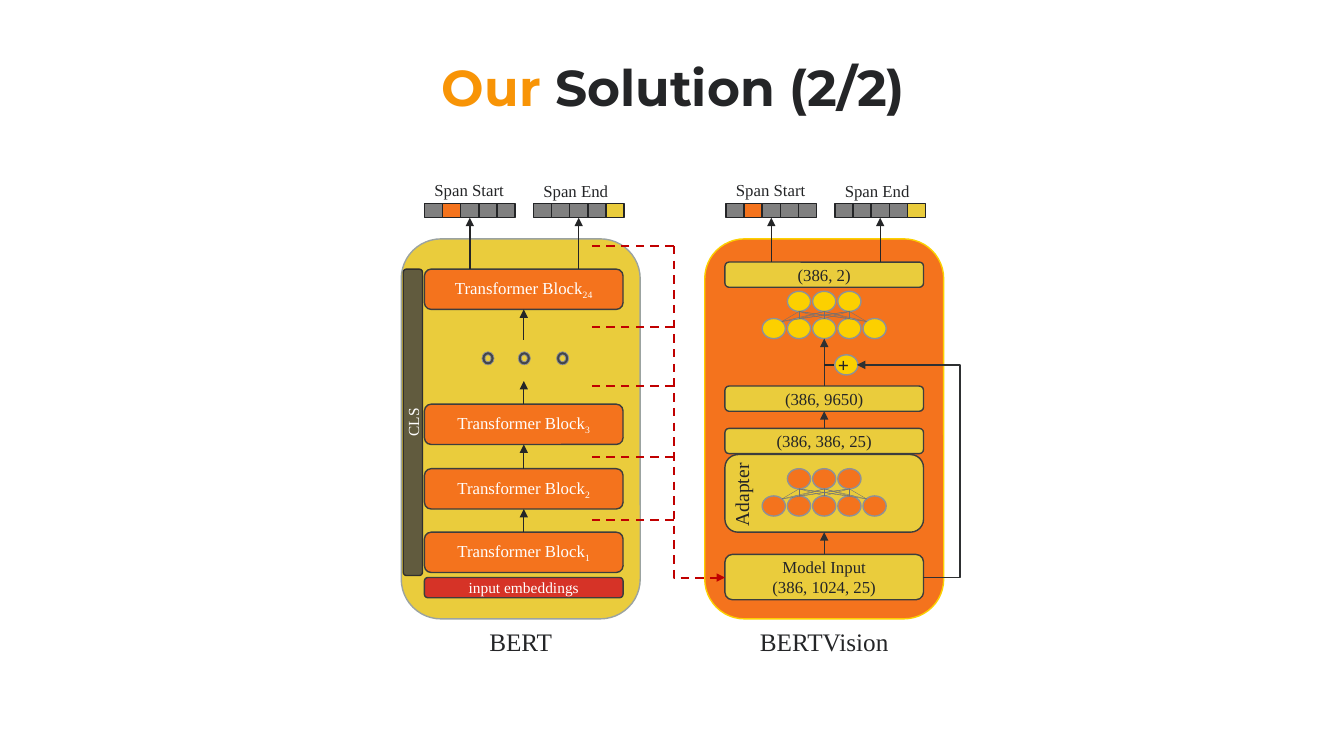
from lxml import etree
from pptx import Presentation
from pptx.dml.color import RGBColor
from pptx.enum.dml import MSO_LINE
from pptx.enum.shapes import MSO_CONNECTOR, MSO_SHAPE
from pptx.enum.text import MSO_ANCHOR, PP_ALIGN
from pptx.oxml.ns import qn
from pptx.util import Inches, Pt

ORANGE = RGBColor(0xF4, 0x73, 0x1D)
TITLE_ORANGE = RGBColor(0xF8, 0x94, 0x06)
MUSTARD = RGBColor(0xEA, 0xCC, 0x3C)
YELLOW = RGBColor(0xFC, 0xD0, 0x00)
RED = RGBColor(0xD1, 0x0D, 0x22)
DARK_RED = RGBColor(0xC0, 0x00, 0x00)
WHITE = RGBColor(0xFF, 0xFF, 0xFF)
INK = RGBColor(0x24, 0x25, 0x27)
ARROW_INK = RGBColor(0x2E, 0x30, 0x32)
OUTLINE = RGBColor(0x3D, 0x3D, 0x3D)
CLS_FILL = RGBColor(0x3F, 0x3F, 0x3F)
CLS_LINE = RGBColor(0x2F, 0x2F, 0x2F)
DOT_FILL = RGBColor(0x43, 0x45, 0x49)
CELL_GREY = RGBColor(0x80, 0x80, 0x80)
NODE_LINE = RGBColor(0x8E, 0x91, 0x97)
LINK_GREY = RGBColor(0x6D, 0x70, 0x76)
PANEL_LINE = RGBColor(0x9B, 0xA3, 0xA1)

SERIF = "Times New Roman"
TOP, BOTTOM = 0, 2
COLUMN_WIDTH = 1.97
CELL_WIDTH, CELL_HEIGHT = 0.18, 0.14
NODE_WIDTH, NODE_HEIGHT, NODE_PITCH = 0.23, 0.2, 0.25


def set_attributes(target, values):
    for name, value in values.items():
        setattr(target, name, value)


def add_run(paragraph, text, size, color, font=SERIF, bold=False):
    run = paragraph.add_run()
    run.text = text
    set_attributes(run.font, {"name": font, "size": Pt(size), "bold": bold})
    run.font.color.rgb = color
    return run


def write(frame, text, size, color, subscript="", align=PP_ALIGN.CENTER, bold=False):
    paragraph = frame.paragraphs[0]
    paragraph.alignment = align
    for index, part in enumerate(text.split("\n")):
        if index:
            paragraph.add_line_break()
        add_run(paragraph, part, size, color, bold=bold)
    if subscript:
        run = add_run(paragraph, subscript, size, color)
        run.font._element.set("baseline", "-25000")


def add_box(slide, kind, box, fill, outline, width=1, alpha=None):
    shape = slide.shapes.add_shape(kind, *map(Inches, box))
    shape.shadow.inherit = False
    shape.fill.solid()
    shape.fill.fore_color.rgb = fill
    shape.line.color.rgb = outline
    shape.line.width = Pt(width)
    if alpha:
        color = shape._element.spPr.find(qn("a:solidFill"))[0]
        etree.SubElement(color, qn("a:alpha")).set("val", str(alpha * 1000))
    return shape


def add_layer(slide, box, fill, text="", color=INK, size=12, subscript="",
              outline=OUTLINE, alpha=None):
    shape = add_box(slide, MSO_SHAPE.ROUNDED_RECTANGLE, box, fill, outline, alpha=alpha)
    frame = shape.text_frame
    set_attributes(frame, {"word_wrap": True, "vertical_anchor": MSO_ANCHOR.MIDDLE,
                           "margin_left": 0, "margin_right": 0,
                           "margin_top": 0, "margin_bottom": 0})
    if text:
        write(frame, text, size, color, subscript)
    return shape


def add_label(slide, box, text, size, align=PP_ALIGN.CENTER, rotation=0):
    label = slide.shapes.add_textbox(*map(Inches, box))
    label.rotation = rotation
    label.text_frame.word_wrap = True
    write(label.text_frame, text, size, INK, align=align)


def add_line(slide, begin, end, color=INK, width=1, arrow=False, dashed=False,
             kind=MSO_CONNECTOR.STRAIGHT):
    """Each end is an (x, y) point in inches or a (shape, side) pair."""
    points = [end_point if isinstance(end_point[0], (int, float)) else (0, 0)
              for end_point in (begin, end)]
    connector = slide.shapes.add_connector(kind, *map(Inches, points[0] + points[1]))
    for end_point, join in ((begin, connector.begin_connect), (end, connector.end_connect)):
        if not isinstance(end_point[0], (int, float)):
            join(*end_point)
    connector.line.color.rgb = color
    connector.line.width = Pt(width)
    if dashed:
        connector.line.dash_style = MSO_LINE.DASH
    properties = connector._element.spPr
    if arrow:
        etree.SubElement(properties.find(qn("a:ln")), qn("a:tailEnd")).set("type", "triangle")
    etree.SubElement(properties, qn("a:effectLst"))
    return connector


def add_span(slide, left, label_top, text, marked, marked_fill, source_top):
    """Labelled row of five cells, with an arrow up into its middle cell."""
    add_label(slide, (left, label_top, 0.89, 0.3), text, 12, align=PP_ALIGN.LEFT)
    cells = [add_box(slide, MSO_SHAPE.RECTANGLE,
                     (left + index * CELL_WIDTH, 2.02, CELL_WIDTH, CELL_HEIGHT),
                     marked_fill if index == marked else CELL_GREY, INK)
             for index in range(5)]
    add_line(slide, (left + 2.5 * CELL_WIDTH, source_top), (cells[2], BOTTOM), arrow=True)


def add_spans(slide, left, source_top):
    add_span(slide, left, 1.73, "Span Start", 1, ORANGE, source_top)
    add_span(slide, left + 1.08, 1.74, "Span End", 4, MUSTARD, source_top)


def add_network(slide, top, fill):
    """Three nodes above five, every pair linked."""
    left, lower = 7.56, top + 0.27
    for row_top, columns in ((lower, range(5)), (top, range(1, 4))):
        for column in columns:
            add_box(slide, MSO_SHAPE.OVAL,
                    (left + column * NODE_PITCH, row_top, NODE_WIDTH, NODE_HEIGHT),
                    fill, NODE_LINE)
    centers = [left + NODE_WIDTH / 2 + column * NODE_PITCH for column in range(5)]
    starts = [(center, lower) for center in centers[1:4]]
    starts += [(centers[0] + 0.08, lower + 0.03), (centers[4] - 0.08, lower + 0.03)]
    for start in starts:
        for center in centers[1:4]:
            add_line(slide, start, (center, top + NODE_HEIGHT), LINK_GREY, 0.25)


def add_title(slide):
    title = slide.shapes.title
    set_attributes(title, {"left": Inches(3.96), "top": Inches(0.51),
                           "width": Inches(5.44), "height": Inches(0.71)})
    set_attributes(title.text_frame, {"word_wrap": True, "vertical_anchor": MSO_ANCHOR.TOP})
    paragraph = title.text_frame.paragraphs[0]
    set_attributes(paragraph, {"alignment": PP_ALIGN.CENTER, "line_spacing": 1.0})
    add_run(paragraph, "Our ", 36, TITLE_ORANGE, "Montserrat", True)
    add_run(paragraph, "Solution (2/2)", 36, INK, "Montserrat", True)


def add_bert(slide):
    left = 4.21
    add_layer(slide, (3.98, 2.37, 2.37, 3.77), MUSTARD, outline=PANEL_LINE)
    for dot_left in (4.78, 5.14, 5.52):
        add_box(slide, MSO_SHAPE.DONUT, (dot_left, 3.49, 0.12, 0.13), DOT_FILL, NODE_LINE, 0.5)
    blocks = [add_layer(slide, (left, top, COLUMN_WIDTH, 0.4), ORANGE, "Transformer Block",
                        WHITE, subscript=number)
              for number, top in (("1", 5.28), ("2", 4.65), ("3", 4.01), ("24", 2.67))]
    # Side and bottom bars, deep enough for their labels
    cls = add_layer(slide, (4.0, 2.67, 0.19, 3.04), CLS_FILL, "CLS", WHITE, 11,
                    outline=CLS_LINE, alpha=80)
    cls.text_frame._txBody.bodyPr.set("vert", "vert270")
    add_layer(slide, (left, 5.73, COLUMN_WIDTH, 0.2), RED, "input embeddings", WHITE, 11,
              alpha=80)
    # Arrows up through the stack
    middle = left + COLUMN_WIDTH / 2
    for begin, end in (((blocks[0], TOP), (blocks[1], BOTTOM)),
                       ((blocks[1], TOP), (blocks[2], BOTTOM)),
                       ((blocks[2], TOP), (middle, 3.78)),
                       ((middle, 3.37), (blocks[3], BOTTOM))):
        add_line(slide, begin, end, arrow=True)
    add_spans(slide, left, 2.67)
    add_label(slide, (3.98, 6.16, 2.37, 0.4), "BERT", 18)


def add_bertvision(slide):
    left = 7.19
    middle = left + COLUMN_WIDTH / 2
    add_layer(slide, (6.99, 2.37, 2.37, 3.77), ORANGE, outline=YELLOW)
    model_input, adapter, encoded, flat, _ = [
        add_layer(slide, (left, top, COLUMN_WIDTH, height), MUSTARD, text)
        for top, height, text in ((5.5, 0.45, "Model Input\n(386, 1024, 25)"),
                                  (4.51, 0.77, ""),
                                  (4.25, 0.25, "(386, 386, 25)"),
                                  (3.83, 0.25, "(386, 9650)"),
                                  (2.6, 0.25, "(386, 2)"))]
    add_label(slide, (6.86, 4.74, 0.99, 0.34), "Adapter", 14, rotation=270)
    add_network(slide, 4.65, ORANGE)
    add_network(slide, 2.89, YELLOW)
    for begin, end in (((model_input, TOP), (adapter, BOTTOM)),
                       ((encoded, TOP), (flat, BOTTOM)),
                       ((flat, TOP), (middle, 3.36))):
        add_line(slide, begin, end, ARROW_INK, arrow=True)
    # Skip connection into the plus node
    add_box(slide, MSO_SHAPE.OVAL, (8.28, 3.52, NODE_WIDTH, NODE_HEIGHT), YELLOW, NODE_LINE)
    skip = add_line(slide, (9.16, 5.73), (8.5, 3.62), ARROW_INK, arrow=True,
                    kind=MSO_CONNECTOR.ELBOW)
    guides = skip._element.spPr.find(qn("a:prstGeom")).get_or_add_avLst()
    etree.SubElement(guides, qn("a:gd"), name="adj1", fmla="val -55100")
    plus = slide.shapes.add_textbox(*map(Inches, (8.3, 3.45, 0.13, 0.34)))
    set_attributes(plus.text_frame, {"word_wrap": False, "margin_left": 0, "margin_right": 0,
                                     "vertical_anchor": MSO_ANCHOR.MIDDLE})
    write(plus.text_frame, "+", 14, INK, bold=True)
    add_line(slide, (8.27, 3.62), (middle, 3.62))
    add_spans(slide, 7.2, 2.6)
    add_label(slide, (6.99, 6.16, 2.37, 0.4), "BERTVision", 18)


def add_hidden_state_feed(slide):
    """Dashed taps from each block, gathered into the model input."""
    feed = add_line(slide, (8.58, 3.83), (5.29, 4.34), DARK_RED, 1.5, arrow=True, dashed=True,
                    kind=MSO_CONNECTOR.ELBOW)
    properties = feed._element.spPr
    properties.find(qn("a:prstGeom")).set("prst", "bentConnector2")
    properties.find(qn("a:xfrm")).set("rot", str(270 * 60000))
    for tap in (2.44, 3.24, 3.83, 4.53, 5.16):
        add_line(slide, (6.68, tap), (5.87, tap), DARK_RED, 1.5, dashed=True)


def main():
    presentation = Presentation()
    presentation.slide_width, presentation.slide_height = Inches(13.33), Inches(7.5)
    slide = presentation.slides.add_slide(presentation.slide_layouts[5])
    add_title(slide)
    add_bert(slide)
    add_bertvision(slide)
    add_hidden_state_feed(slide)
    presentation.save("out.pptx")


if __name__ == "__main__":
    main()
